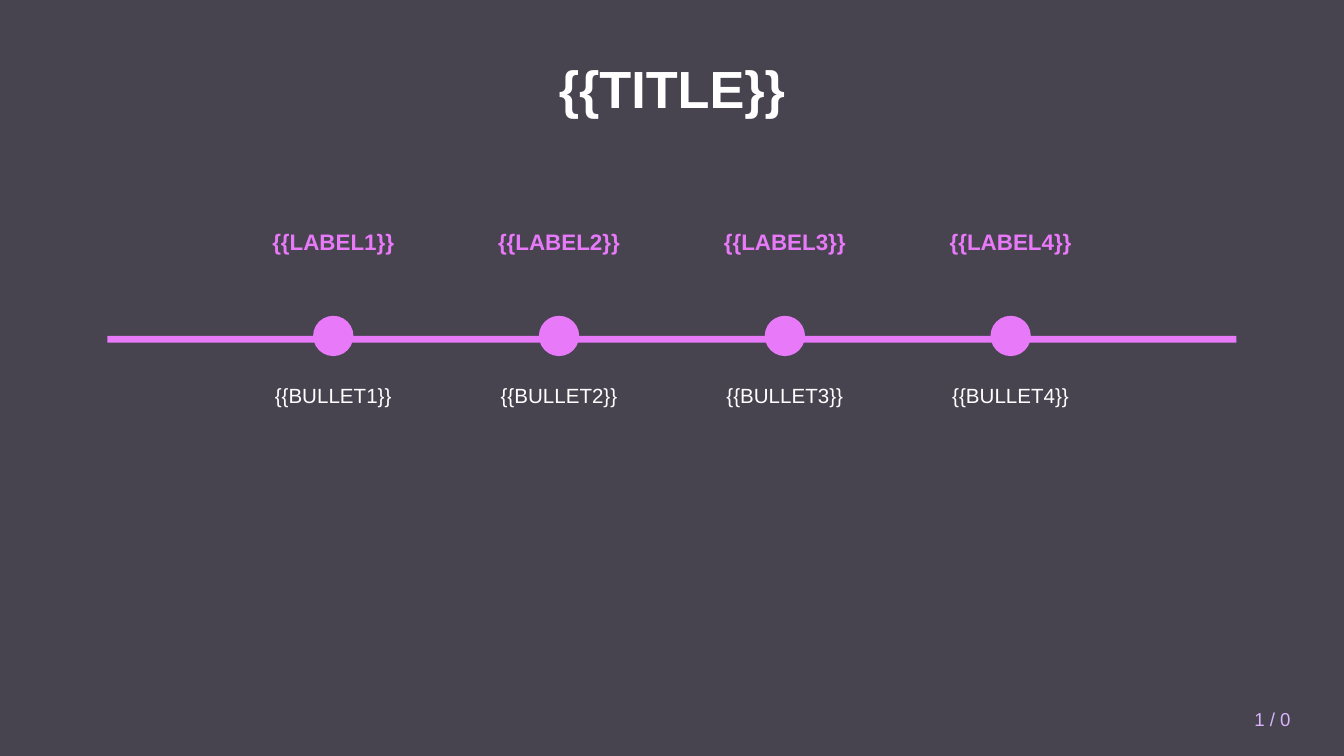
import lxml.etree
import pptx
import pptx.dml.color
import pptx.enum.shapes
import pptx.enum.text
import pptx.oxml.ns
import pptx.util

SLIDE_W, SLIDE_H = 10, 5.625
MARGIN = 0.8
STEPS = 4
COLUMN = (SLIDE_W - 2 * MARGIN) / (STEPS + 1)
DOT = 0.3
TEXT_W = 2
INK, PINK, LILAC, WHITE = "1A1625", "E879F9", "D8B4FE", "FFFFFF"

SHAPES = pptx.enum.shapes.MSO_SHAPE
ALIGN = pptx.enum.text.PP_ALIGN
ANCHOR = pptx.enum.text.MSO_ANCHOR

deck = pptx.Presentation()
deck.slide_width = pptx.util.Inches(SLIDE_W)
deck.slide_height = pptx.util.Inches(SLIDE_H)
slide = deck.slides.add_slide(deck.slide_layouts[6])


def add_block(kind, left, top, width, height, color):
    block = slide.shapes.add_shape(kind, *map(pptx.util.Inches, (left, top, width, height)))
    block.shadow.inherit = False
    block.fill.solid()
    block.fill.fore_color.rgb = pptx.dml.color.RGBColor.from_string(color)
    block.line.fill.background()
    return block


def add_words(words, left, top, width, height, size, color,
              bold=False, align=ALIGN.CENTER, anchor=ANCHOR.MIDDLE):
    frame = slide.shapes.add_textbox(*map(pptx.util.Inches, (left, top, width, height))).text_frame
    frame.word_wrap = True
    frame.vertical_anchor = anchor
    frame.text = words
    line = frame.paragraphs[0]
    line.alignment = align
    font = line.runs[0].font
    font.name = "Arial"
    font.size = pptx.util.Pt(size)
    font.bold = bold
    font.color.rgb = pptx.dml.color.RGBColor.from_string(color)


# Dark overlay at 80 % opacity on the white background
overlay = add_block(SHAPES.RECTANGLE, 0, 0, SLIDE_W, SLIDE_H, INK)
overlay_color = overlay.fill._xPr.find(".//" + pptx.oxml.ns.qn("a:srgbClr"))
lxml.etree.SubElement(overlay_color, pptx.oxml.ns.qn("a:alpha"), val="80000")

# Title
add_words("{{TITLE}}", 0.5, 0.3, SLIDE_W - 1, 0.7, 28, WHITE, bold=True)

# Timeline bar
add_block(SHAPES.RECTANGLE, MARGIN, 2.5, SLIDE_W - 2 * MARGIN, 0.05, PINK)

# Milestones: dot, label above, bullet below
for step in range(1, STEPS + 1):
    center = MARGIN + step * COLUMN
    text_left = center - TEXT_W / 2
    add_block(SHAPES.OVAL, center - DOT / 2, 2.5 - DOT / 2, DOT, DOT, PINK)
    add_words(f"{{{{LABEL{step}}}}}", text_left, 1.5, TEXT_W, 0.6, 12, PINK, bold=True)
    add_words(f"{{{{BULLET{step}}}}}", text_left, 2.8, TEXT_W, 1.5, 11, WHITE, anchor=ANCHOR.TOP)

# Page number
add_words("1 / 0", 8.5, 5.2, 1.2, 0.3, 10, LILAC, align=ALIGN.RIGHT)

deck.save("out.pptx")
